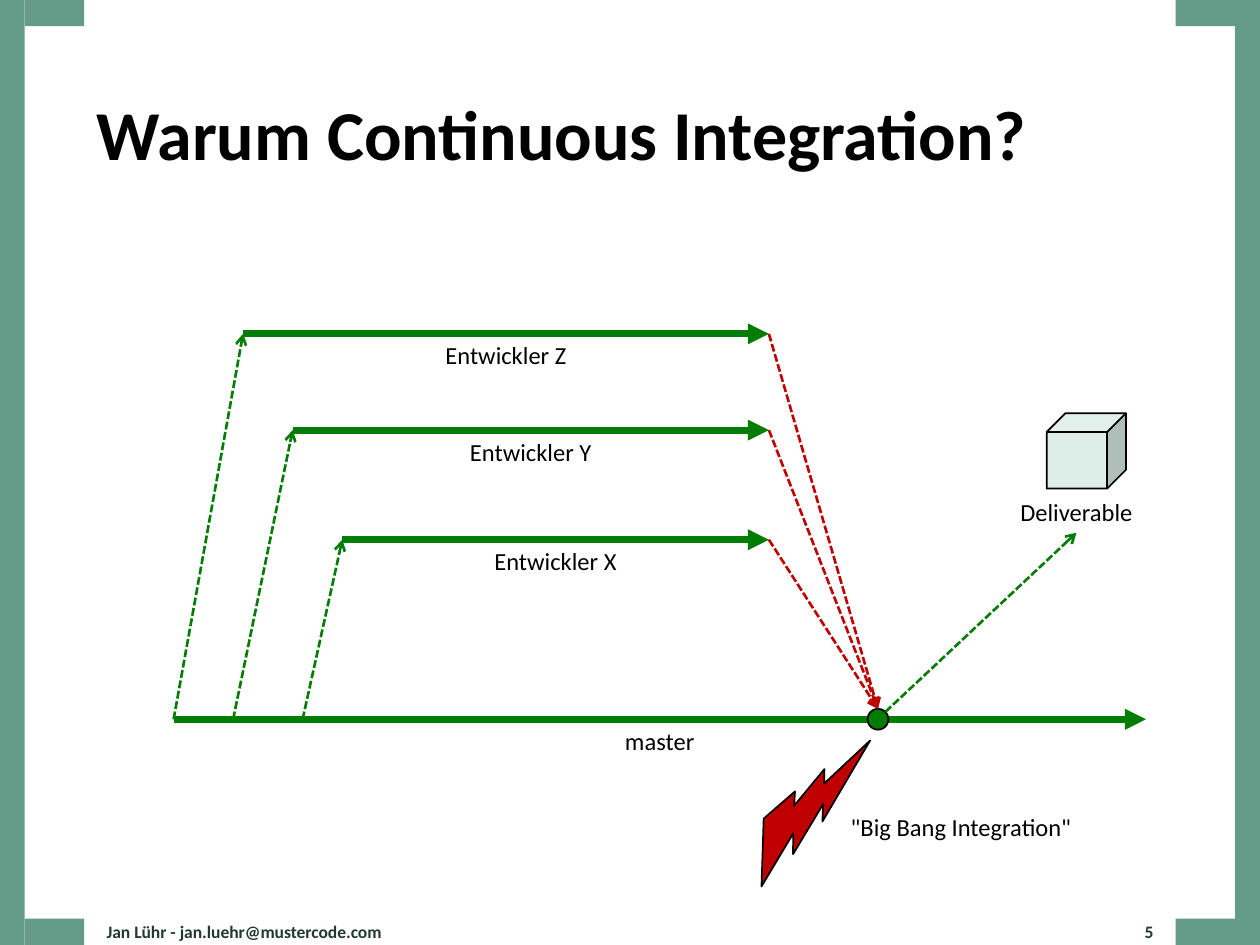
from lxml.etree import SubElement
from pptx import Presentation
from pptx.dml.color import RGBColor
from pptx.enum.dml import MSO_LINE
from pptx.enum.shapes import MSO_CONNECTOR, MSO_SHAPE
from pptx.enum.text import MSO_ANCHOR, PP_ALIGN
from pptx.oxml.ns import qn
from pptx.util import Cm, Pt

COLORS = {
    "frame": "659C89",
    "footer": "233833",
    "branch": "037C03",
    "conflict": "C00000",
    "cube": "DDEEE8",
    "black": "000000",
}
LABEL_HEIGHT = 0.86


def color(name):
    return RGBColor.from_string(COLORS[name])


def add_text(page, box, text, size=14, tint="black", bold=False,
             align=PP_ALIGN.CENTER, anchor=MSO_ANCHOR.MIDDLE):
    shape = page.shapes.add_textbox(*map(Cm, box))
    frame = shape.text_frame
    frame.word_wrap = True
    frame.vertical_anchor = anchor
    para = frame.paragraphs[0]
    para.alignment = align
    span = para.add_run()
    span.text = text
    span.font.name = "Calibri"
    span.font.size = Pt(size)
    span.font.bold = bold
    span.font.color.rgb = color(tint)
    return shape


def add_solid(page, preset, box, fill, outlined=True):
    shape = page.shapes.add_shape(preset, *map(Cm, box))
    shape.shadow.inherit = False
    shape.fill.solid()
    shape.fill.fore_color.rgb = color(fill)
    if outlined:
        shape.line.color.rgb = color("black")
        shape.line.width = Pt(1)
    else:
        shape.line.fill.background()
    return shape


def add_arrow(page, start, end, tint="branch", dashed=True):
    arrow = page.shapes.add_connector(
        MSO_CONNECTOR.STRAIGHT, *map(Cm, (*start, *end)))
    arrow.line.color.rgb = color(tint)
    arrow.line.width = Pt(1.5 if dashed else 4)
    if dashed:
        arrow.line.dash_style = MSO_LINE.SQUARE_DOT
    properties = arrow._element.spPr
    head = SubElement(properties.find(qn("a:ln")), qn("a:tailEnd"))
    head.set("type", "arrow" if dashed else "triangle")
    SubElement(properties, qn("a:effectLst"))
    return arrow


def add_frame(page, left, top, width, height):
    bar, arm, thickness = 0.5, 1.2, 0.53
    sides = [
        (left, left + bar),
        (left + width - bar, left + width - bar - arm),
    ]
    for bar_left, arm_left in sides:
        add_solid(page, MSO_SHAPE.RECTANGLE,
                  (bar_left, top, bar, height), "frame", False)
        for arm_top in (top, top + height - thickness):
            add_solid(page, MSO_SHAPE.RECTANGLE,
                      (arm_left, arm_top, arm, thickness), "frame", False)


def add_title(page, left, top, width, height):
    add_text(page, (left, top, width, height), "Warum Continuous Integration?",
             40, bold=True, align=PP_ALIGN.LEFT, anchor=MSO_ANCHOR.TOP)


def add_footer(page, left, top, width, height):
    number_width = 5.3
    add_text(page, (left, top, width - number_width, height),
             "Jan Lühr - jan.luehr@mustercode.com", 10, "footer", True,
             PP_ALIGN.LEFT)
    add_text(page, (left + width - number_width, top, number_width, height),
             "5", 10, "footer", True, PP_ALIGN.RIGHT)


def add_branch(page, left, top, width, name):
    add_arrow(page, (left, top), (left + width, top), dashed=False)
    add_text(page, (left, top, width, LABEL_HEIGHT), name)


def add_deliverable(page, left, top, width):
    cube_width = 1.6
    add_solid(page, MSO_SHAPE.CUBE,
              (left + 1.4, top, cube_width, 1.52), "cube")
    return add_text(page, (left, top + 1.55, width, LABEL_HEIGHT),
                    "Deliverable")


def add_big_bang(page, left, top, width):
    bolt = add_solid(page, MSO_SHAPE.LIGHTNING_BOLT,
                     (left, top, 3.4, 1.68), "conflict")
    bolt.rotation = 284.6
    add_text(page, (left + 2.3, top + 0.71, width - 2.3, LABEL_HEIGHT),
             '"Big Bang Integration"', align=PP_ALIGN.LEFT)


def add_branch_diagram(page, left, top, width, height):
    master = top + height
    branch_end = left + 12
    node_size = 0.42
    node_center = left + 14.2
    developers = [
        ("Entwickler Z", 0, 1.4, 0),
        ("Entwickler Y", 1.2, 2.4, 1.94),
        ("Entwickler X", 2.6, 3.4, 4.15),
    ]

    add_branch(page, left, master, width, "master")
    node = add_solid(page, MSO_SHAPE.OVAL,
                     (node_center - node_size / 2, master - node_size / 2,
                      node_size, node_size), "branch")
    for name, fork, start, level in developers:
        branch_left, branch_top = left + start, top + level
        add_branch(page, branch_left, branch_top,
                   branch_end - branch_left, name)
        add_arrow(page, (left + fork, master), (branch_left, branch_top))
        merge = add_arrow(page, (branch_end, branch_top),
                          (node_center, master - node_size / 2), "conflict")
        merge.end_connect(node, 0)

    label = add_deliverable(page, left + 16.2, top + 1.6, 4)
    release = add_arrow(page, (node_center + 0.15, master - 0.15),
                        (left + 18.2, top + 4))
    release.end_connect(label, 2)
    add_big_bang(page, left + 11.1, master + 1.02, 7.5)


def main():
    deck = Presentation()
    deck.slide_width = Cm(25.4)
    deck.slide_height = Cm(19.05)
    page = deck.slides.add_slide(deck.slide_layouts[6])
    add_frame(page, 0, 0, 25.4, 19.05)
    add_title(page, 1.7, 1.7, 22, 4)
    add_footer(page, 1.9, 18.52, 21.6, 0.53)
    add_branch_diagram(page, 3.5, 6.73, 19.6, 7.77)
    deck.save("out.pptx")


if __name__ == "__main__":
    main()
